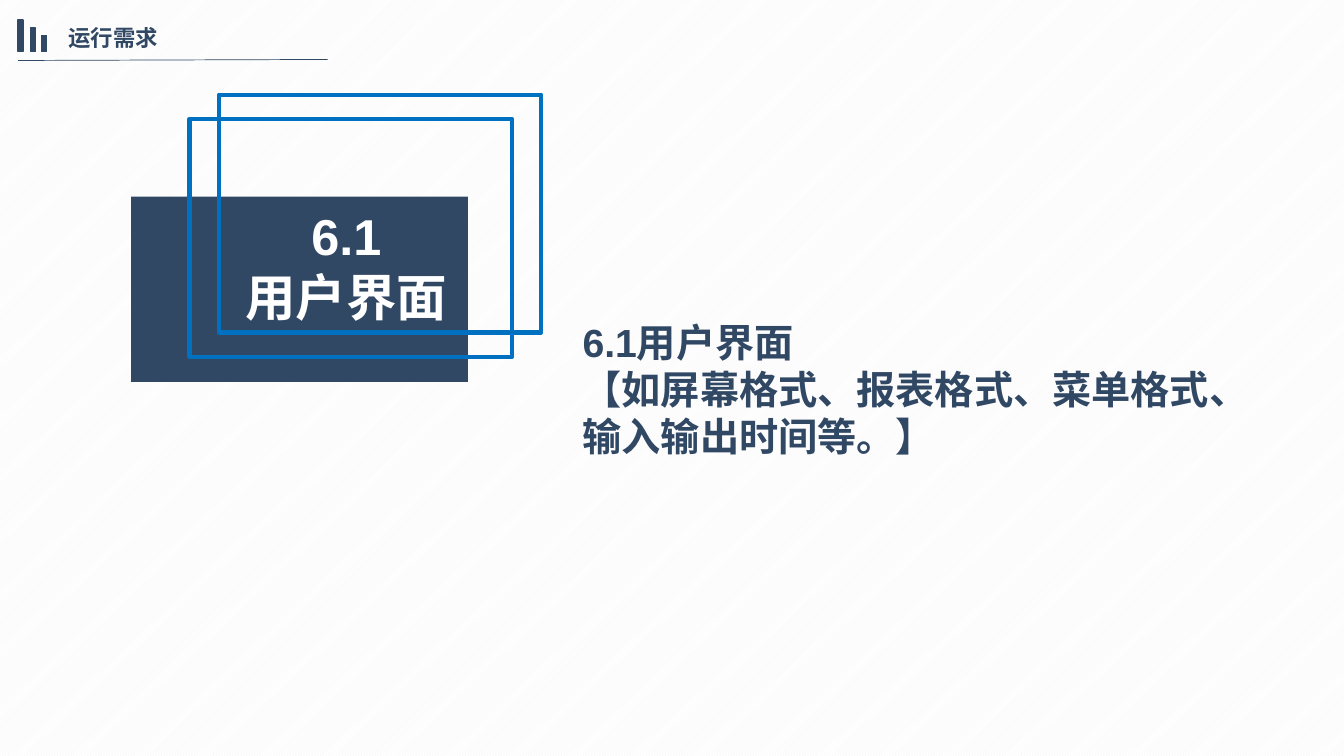
from pptx import Presentation
from pptx.dml.color import RGBColor
from pptx.enum.dml import MSO_PATTERN
from pptx.enum.shapes import MSO_CONNECTOR, MSO_SHAPE
from pptx.enum.text import MSO_ANCHOR, MSO_AUTO_SIZE, PP_ALIGN
from pptx.oxml.ns import qn
from pptx.util import Inches, Pt
from lxml import etree

RECTANGLE = MSO_SHAPE.RECTANGLE
STRAIGHT = MSO_CONNECTOR.STRAIGHT
STRIPES = MSO_PATTERN.DARK_UPWARD_DIAGONAL
TOP = MSO_ANCHOR.TOP
GROW = MSO_AUTO_SIZE.SHAPE_TO_FIT_TEXT
LEFT, CENTER, JUSTIFY = PP_ALIGN.LEFT, PP_ALIGN.CENTER, PP_ALIGN.JUSTIFY

NAVY, BLUE, WHITE, PALE = "314865", "0070C0", "FFFFFF", "F2F2F2"
FONT = "Arial"


def color(value):
    return RGBColor.from_string(value)


def add_rectangle(slide, box, fill=None, line=None, weight=1):
    rectangle = slide.shapes.add_shape(RECTANGLE, *map(Inches, box))
    rectangle.shadow.inherit = False
    if fill:
        rectangle.fill.solid()
        rectangle.fill.fore_color.rgb = color(fill)
    else:
        rectangle.fill.background()
    if line:
        rectangle.line.color.rgb = color(line)
        rectangle.line.width = Pt(weight)
    else:
        rectangle.line.fill.background()


def write_lines(holder, lines, size, font_color, align):
    frame = holder.text_frame
    frame.word_wrap = True
    frame.auto_size = GROW
    frame.vertical_anchor = TOP
    for index, line in enumerate(lines):
        paragraph = frame.paragraphs[0] if index == 0 else frame.add_paragraph()
        paragraph.alignment = align
        run = paragraph.add_run()
        run.text = line
        run.font.name = FONT
        run.font.size = Pt(size)
        run.font.bold = True
        run.font.color.rgb = color(font_color)


def paint_background(slide):
    fill = slide.background.fill
    fill.patterned()
    fill.pattern = STRIPES
    fill.fore_color.rgb = color(PALE)
    fill.back_color.rgb = color(WHITE)


def build_header(slide, box, heading):
    left, top, width, height = box
    # Underline, rising slightly to the right
    underline = slide.shapes.add_connector(
        STRAIGHT, Inches(left), Inches(top + height),
        Inches(left + width), Inches(top + height - 0.01))
    underline.line.color.rgb = color(NAVY)
    underline.line.width = Pt(0.5)
    etree.SubElement(underline._element.spPr, qn("a:effectLst"))
    # Heading
    title = slide.shapes.title
    title.left, title.top = Inches(left + 0.4), Inches(top)
    title.width, title.height = Inches(width - 0.41), Inches(0.37)
    write_lines(title, [heading], 16, NAVY, JUSTIFY)
    # Descending bars on a shared baseline
    baseline = top + 0.32
    for offset, bar_height in ((0, 0.31), (0.12, 0.23), (0.23, 0.16)):
        bar = (left + offset, baseline - bar_height, 0.05, bar_height)
        add_rectangle(slide, bar, fill=NAVY, line=NAVY)


def build_section_card(slide, box, lines):
    left, top, width, height = box
    frame_width, frame_height = 3.2, 2.36
    # Solid panel and lower frame
    add_rectangle(slide, (left, top + 1.01, width, height), fill=NAVY)
    add_rectangle(slide, (left + 0.58, top + 0.24, frame_width, frame_height),
                  line=BLUE, weight=3)
    # Section number and name
    label = slide.shapes.add_textbox(Inches(left + 0.87), Inches(top + 1.05),
                                     Inches(2.53), Inches(1.31))
    write_lines(label, lines, 36, WHITE, CENTER)
    # Upper frame
    add_rectangle(slide, (left + 0.87, top, frame_width, frame_height),
                  line=BLUE, weight=3)


def build_description(slide, box, lines):
    description = slide.shapes.add_textbox(*map(Inches, box))
    write_lines(description, lines, 28, NAVY, LEFT)


def main():
    presentation = Presentation()
    presentation.slide_width = Inches(13.33)
    presentation.slide_height = Inches(7.5)
    slide = presentation.slides.add_slide(presentation.slide_layouts[5])
    paint_background(slide)
    build_section_card(slide, (1.3, 0.94, 3.34, 1.84), ["6.1", "用户界面"])
    build_description(slide, (5.68, 3.11, 7.1, 1.51), [
        "6.1用户界面",
        "【如屏幕格式、报表格式、菜单格式、输入输出时间等。】",
    ])
    build_header(slide, (0.18, 0.19, 3.07, 0.41), "运行需求")
    presentation.save("out.pptx")


if __name__ == "__main__":
    main()
